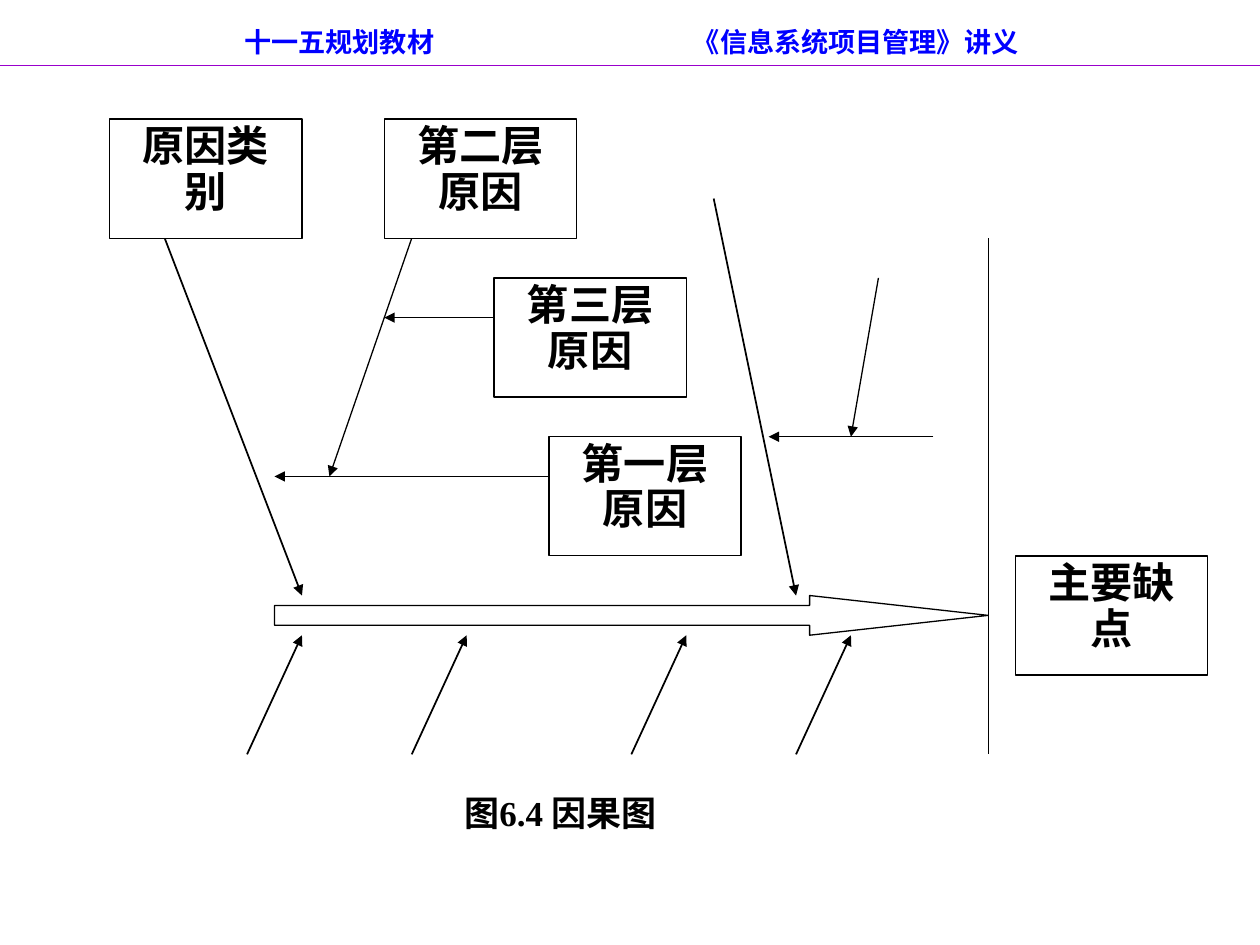
"""Build a slide with a cause-and-effect (fishbone) diagram."""
from typing import NamedTuple

from lxml.etree import SubElement
from pptx import Presentation
from pptx.dml.color import RGBColor
from pptx.enum.shapes import MSO_CONNECTOR as Conn, MSO_SHAPE as Shape
from pptx.enum.text import MSO_ANCHOR as Anchor, PP_ALIGN as Align
from pptx.oxml.ns import qn
from pptx.util import Emu, Inches, Pt

COLORS = {"ink": "000000", "paper": "FFFFFF", "title": "0000FF", "rule": "9900CC"}
WIDTH, HEIGHT = Inches(10), Inches(7.5)
COL, ROW = WIDTH / 45.9, HEIGHT / 23.8
BOX_COLS, BOX_ROWS = 7, 3
THIN, THICK = 0.75, 1


class Box(NamedTuple):
    text: str
    col: float
    row: float


class Line(NamedTuple):
    col1: float
    row1: float
    col2: float
    row2: float
    weight: float = THIN
    arrow: bool = True
    color: str = "ink"


BOXES = [
    Box("原因类别", 4, 3),
    Box("第二层原因", 14, 3),
    Box("第三层原因", 18, 7),
    Box("第一层原因", 20, 11),
    Box("主要缺点", 37, 14),
]
LINES = [
    Line(36, 6, 36, 19, arrow=False),
    Line(6, 6, 11, 15, THICK),
    Line(26, 5, 29, 15, THICK),
    *(Line(col, 19, col + 2, 16, THICK) for col in (9, 15, 23, 29)),
    Line(20, 12, 10, 12),
    Line(15, 6, 12, 12),
    Line(18, 8, 14, 8),
    Line(34, 11, 28, 11),
    Line(32, 7, 31, 11),
    Line(0, 1.65, WIDTH / COL, 1.65, arrow=False, color="rule"),
]


def rgb(name: str) -> RGBColor:
    return RGBColor.from_string(COLORS[name])


def x(cols: float) -> Emu:
    return Emu(round(cols * COL))


def y(rows: float) -> Emu:
    return Emu(round(rows * ROW))


def add_text(sp, text: str, size: float, font: str = "Times New Roman",
             color: str = "ink", align=Align.CENTER, spacing: float = 1.0):
    tf = sp.text_frame
    tf.word_wrap = True
    tf.vertical_anchor = Anchor.TOP
    p = tf.paragraphs[0]
    p.alignment, p.line_spacing = align, spacing
    r = p.add_run()
    r.text = text
    r.font.name, r.font.size, r.font.bold = font, Pt(size), True
    r.font.color.rgb = rgb(color)
    return p


def add_block(s, kind, left: Emu, top: Emu, width: Emu, height: Emu,
              outlined: bool = True):
    sp = s.shapes.add_shape(kind, left, top, width, height)
    sp.shadow.inherit = False
    sp.fill.solid()
    sp.fill.fore_color.rgb = rgb("paper")
    if outlined:
        sp.line.color.rgb = rgb("ink")
        sp.line.width = Pt(THIN)
    else:
        sp.line.fill.background()
    return sp


def add_line(s, line: Line) -> None:
    sp = s.shapes.add_connector(Conn.STRAIGHT, x(line.col1), y(line.row1),
                                x(line.col2), y(line.row2))
    sp.line.color.rgb = rgb(line.color)
    sp.line.width = Pt(line.weight)
    if line.arrow:
        SubElement(sp.line._get_or_add_ln(), qn("a:tailEnd"), type="triangle")
    SubElement(sp._element.spPr, qn("a:effectLst"))


def add_header(s) -> None:
    sp = s.shapes.add_textbox(Inches(0.51), Inches(0.14), Inches(9), Inches(0.38))
    p = add_text(sp, "十一五规划教材\t《信息系统项目管理》讲义", 15.5, "Arial", "title", Align.LEFT)
    sp.text_frame.vertical_anchor = Anchor.MIDDLE
    sp.text_frame.margin_left = Inches(1.43)
    tabs = SubElement(p._p.get_or_add_pPr(), qn("a:tabLst"))
    SubElement(tabs, qn("a:tab"), pos=str(Inches(3.56)), algn="l")


def main() -> None:
    prs = Presentation()
    prs.slide_width, prs.slide_height = WIDTH, HEIGHT
    s = prs.slides.add_slide(prs.slide_layouts[6])
    spine = add_block(s, Shape.RIGHT_ARROW, x(10), y(15), x(26), y(1))
    spine.adjustments[0], spine.adjustments[1] = 0.5, 4.5
    for line in LINES:
        add_line(s, line)
    for box in BOXES:
        sp = add_block(s, Shape.RECTANGLE, x(box.col), y(box.row), x(BOX_COLS), y(BOX_ROWS))
        add_text(sp, box.text, 24.1, spacing=0.9)
    caption = add_block(s, Shape.RECTANGLE, Inches(1.97), Inches(6.23),
                        Inches(4.96), Inches(0.53), outlined=False)
    add_text(caption, "图6.4 因果图", 20)
    add_header(s)
    prs.save("out.pptx")


if __name__ == "__main__":
    main()
